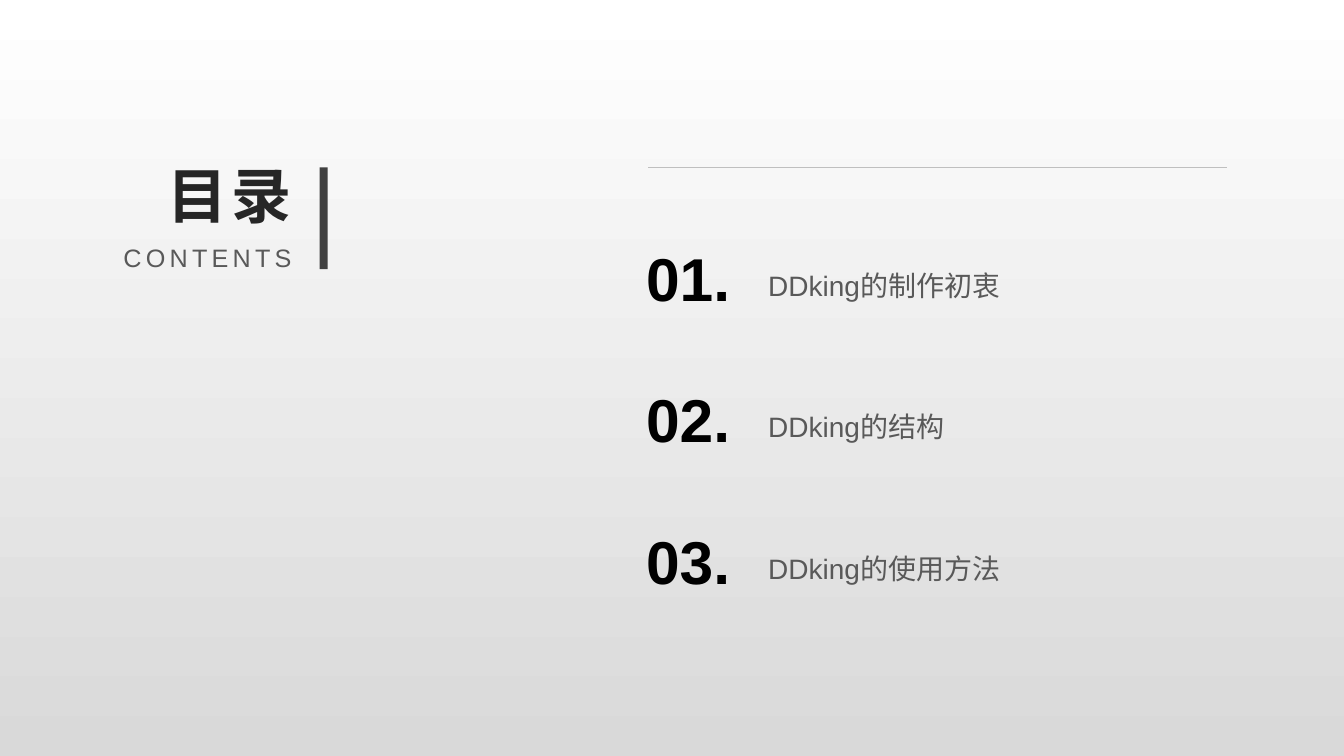
"""Build a contents slide with three numbered entries."""
from dataclasses import dataclass

from lxml import etree
from pptx import Presentation
from pptx import util as u
from pptx.dml import color
from pptx.enum import shapes, text
from pptx.oxml import ns
from pptx.slide import Slide


@dataclass(frozen=True)
class Theme:
    font: str = "Arial"
    top: str = "FFFFFF"
    base: str = "D9D9D9"
    rule: str = "BFBFBF"
    bar: str = "404040"
    title: str = "262626"
    body: str = "595959"
    number: str = "000000"
    title_size: float = 42.9
    label_size: float = 18
    number_size: float = 43.2
    entry_size: float = 20


@dataclass(frozen=True)
class Box:
    left: float
    top: float
    width: float
    height: float


@dataclass(frozen=True)
class Style:
    size: float
    color: str
    bold: bool = False
    track: int = 0
    align: text.PP_ALIGN = text.PP_ALIGN.LEFT
    anchor: text.MSO_ANCHOR = text.MSO_ANCHOR.TOP
    leading: float = 1.0


THEME = Theme()
RIGHT = text.PP_ALIGN.RIGHT
TITLE = Style(THEME.title_size, THEME.title, bold=True, track=3, align=RIGHT)
LABEL = Style(THEME.label_size, THEME.body, track=3, align=RIGHT)
NUMBER = Style(THEME.number_size, THEME.number, bold=True)
ENTRY = Style(THEME.entry_size, THEME.body, anchor=text.MSO_ANCHOR.MIDDLE, leading=1.2)

HEADS = [
    ("目录", Box(0.97, 1.52, 2.02, 0.84), TITLE),
    ("CONTENTS", Box(0.97, 2.36, 2.02, 0.4), LABEL),
]
ENTRIES = ["DDking的制作初衷", "DDking的结构", "DDking的使用方法"]
FIRST, LAST = 2.34, 5.15


def rgb(value: str) -> color.RGBColor:
    return color.RGBColor.from_string(value)


def add_text(slide: Slide, words: str, box: Box, style: Style) -> None:
    frame = slide.shapes.add_textbox(
        u.Inches(box.left), u.Inches(box.top), u.Inches(box.width), u.Inches(box.height)
    ).text_frame
    frame.word_wrap = True
    frame.vertical_anchor = style.anchor
    frame.text = words
    para = frame.paragraphs[0]
    para.alignment = style.align
    para.line_spacing = style.leading
    for run in para.runs:
        run.font.name = THEME.font
        run.font.size = u.Pt(style.size)
        run.font.bold = style.bold
        run.font.color.rgb = rgb(style.color)
        if style.track:
            run._r.get_or_add_rPr().set("spc", str(style.track * 100))


def add_bar(slide: Slide, box: Box) -> None:
    bar = slide.shapes.add_shape(
        shapes.MSO_SHAPE.RECTANGLE,
        u.Inches(box.left), u.Inches(box.top), u.Inches(box.width), u.Inches(box.height),
    )
    bar.shadow.inherit = False
    bar.fill.solid()
    bar.fill.fore_color.rgb = rgb(THEME.bar)
    bar.line.fill.background()


def add_rule(slide: Slide, left: float, right: float, top: float) -> None:
    rule = slide.shapes.add_connector(
        shapes.MSO_CONNECTOR.STRAIGHT,
        u.Inches(left), u.Inches(top), u.Inches(right), u.Inches(top),
    )
    rule.line.color.rgb = rgb(THEME.rule)
    rule.line.width = u.Pt(0.5)
    etree.SubElement(rule._element.spPr, ns.qn("a:effectLst"))


def paint(slide: Slide) -> None:
    fill = slide.background.fill
    fill.gradient()
    fill.gradient_angle = 270
    for stop, shade in zip(fill.gradient_stops, (THEME.top, THEME.base)):
        stop.color.rgb = rgb(shade)


def main() -> None:
    deck = Presentation()
    deck.slide_width, deck.slide_height = u.Inches(13.33), u.Inches(7.5)
    slide = deck.slides.add_slide(deck.slide_layouts[6])
    paint(slide)
    add_rule(slide, 6.43, 12.17, 1.66)
    for words, box, style in HEADS:
        add_text(slide, words, box, style)
    add_bar(slide, Box(3.17, 1.66, 0.08, 1.01))
    pitch = (LAST - FIRST) / (len(ENTRIES) - 1)
    for index, entry in enumerate(ENTRIES):
        top = FIRST + index * pitch
        add_text(slide, f"{index + 1:02}.", Box(6.31, top, 1.13, 0.91), NUMBER)
        add_text(slide, entry, Box(7.52, top, 4.64, 0.91), ENTRY)
    deck.save("out.pptx")


if __name__ == "__main__":
    main()
